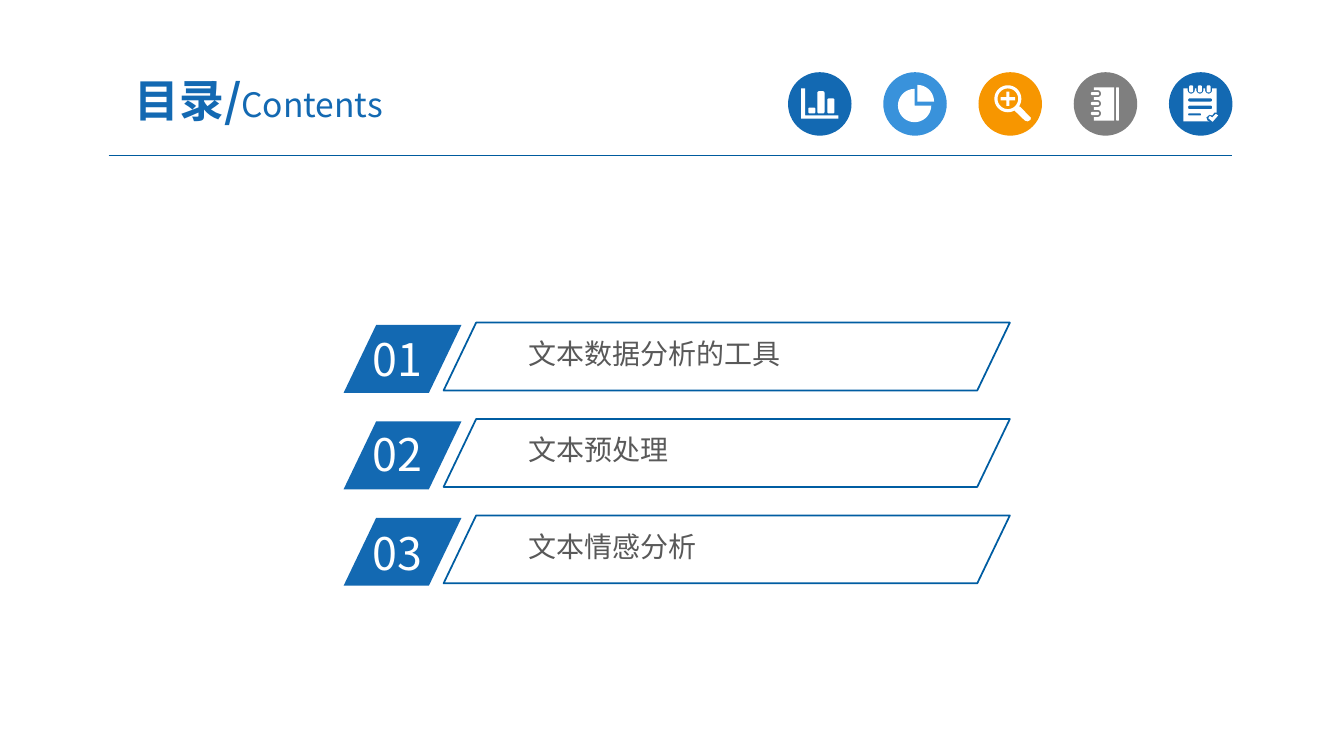
import math
from dataclasses import dataclass

import pptx
import pptx.dml.color
import pptx.enum.shapes
import pptx.enum.text
import pptx.oxml
import pptx.oxml.ns
import pptx.util
from pptx.util import Cm

COLORS = {
    "blue": "1369B2",
    "sky": "3992DB",
    "orange": "F79600",
    "gray": "7F7F7F",
    "rule": "005B9E",
    "frame": "005DA2",
    "text": "595959",
    "white": "FFFFFF",
}
FONT = "Noto Sans CJK SC"
SHAPES = pptx.enum.shapes.MSO_SHAPE
ALIGN = pptx.enum.text.PP_ALIGN
ANCHOR = pptx.enum.text.MSO_ANCHOR

DISC_LEFT, DISC_TOP, DISC_SIZE, DISC_PITCH = 19.86, 1.82, 1.6, 2.4
ROW_TOP, ROW_PITCH, ROW_HEIGHT = 8.13, 2.43, 1.71

Point = tuple[float, float]
Outline = list[Point]


@dataclass
class Badge:
    """A coloured disc; its outlines are in cm from the disc's top left."""
    color: str
    outlines: list[Outline]


@dataclass
class Entry:
    number: str
    title: str
    number_top: float


def rgb(name: str):
    return pptx.dml.color.RGBColor.from_string(COLORS[name])


def arc(x: float, y: float, radius: float, start: int, end: int) -> Outline:
    """Points along an arc; degrees run clockwise from the right."""
    steps = max(6, abs(end - start) // 10)
    angles = [math.radians(start + (end - start) * i / steps) for i in range(steps + 1)]
    return [(x + radius * math.cos(a), y + radius * math.sin(a)) for a in angles]


def rounded(left: float, top: float, right: float, bottom: float,
            radius: float = 0.04) -> Outline:
    return (arc(left + radius, top + radius, radius, 180, 270)
            + arc(right - radius, top + radius, radius, 270, 360)
            + arc(right - radius, bottom - radius, radius, 0, 90)
            + arc(left + radius, bottom - radius, radius, 90, 180))


def bar_chart() -> list[Outline]:
    axes = [(0.33, 0.41), (0.43, 0.41), (0.43, 1.09), (1.27, 1.09), (1.27, 1.17), (0.33, 1.17)]
    bars = [(0.51, 0.89), (0.74, 0.48), (0.99, 0.66)]
    return [axes] + [rounded(left, top, left + 0.18, 1.04) for left, top in bars]


def pie_chart() -> list[Outline]:
    return [[(0.86, 0.74)] + arc(0.86, 0.74, 0.42, -90, 0),
            [(0.79, 0.84)] + arc(0.79, 0.84, 0.42, 0, 270)]


def magnifier() -> list[Outline]:
    x, y, reach, half = 0.74, 0.67, 0.18, 0.04
    plus = [(x - half, y - reach), (x + half, y - reach), (x + half, y - half),
            (x + reach, y - half), (x + reach, y + half), (x + half, y + half),
            (x + half, y + reach), (x - half, y + reach), (x - half, y + half),
            (x - reach, y + half), (x - reach, y - half), (x - half, y - half)]
    handle = [(0.91, 0.97), (1.17, 1.22), (1.24, 1.24), (1.31, 1.2), (1.32, 1.15), (1.04, 0.86)]
    return [arc(x, y, 0.34, 0, 360), arc(x, y, 0.26, 0, 360), plus, handle]


def notebook() -> list[Outline]:
    ring_heights = [1.04, 0.79, 0.54]
    cover = [(0.51, 0.38), (1.02, 0.38), (1.02, 1.22), (0.51, 1.22)]
    for y in ring_heights:
        cover += [(0.51, y + 0.09)] + arc(0.6, y, 0.09, 90, -90) + [(0.51, y - 0.09)]
    rings = [rounded(0.43, y - 0.04, 0.64, y + 0.04) for y in ring_heights]
    return [cover, rounded(1.07, 0.38, 1.14, 1.22, 0.02)] + rings


def checklist() -> list[Outline]:
    ring_places = [0.56, 0.78, 1.0]
    sheet = [(0.36, 0.41)]
    for x in ring_places:
        sheet += [(x - 0.09, 0.41)] + arc(x, 0.45, 0.09, 180, 0) + [(x + 0.09, 0.41)]
    sheet += [(1.2, 0.41), (1.2, 1.02), (1.14, 1.02), (1.09, 1.09), (1.02, 1.07),
              (0.94, 1.14), (0.97, 1.22), (1.02, 1.24), (0.36, 1.24)]
    tick = [(0.99, 1.16), (1.03, 1.1), (1.09, 1.14), (1.18, 1.05), (1.24, 1.09), (1.1, 1.25)]
    rings = [rounded(x - 0.05, 0.33, x + 0.05, 0.51) for x in ring_places]
    lines = [rounded(0.48, 0.66, 1.09, 0.74), rounded(0.48, 0.84, 1.09, 0.93),
             rounded(0.48, 1.04, 0.81, 1.09, 0.02)]
    return [sheet, tick] + rings + lines


BADGES = [
    Badge("blue", bar_chart()),
    Badge("sky", pie_chart()),
    Badge("orange", magnifier()),
    Badge("gray", notebook()),
    Badge("blue", checklist()),
]
ENTRIES = [
    Entry("01", "文本数据分析的工具", 8.23),
    Entry("02", "文本预处理", 10.62),
    Entry("03", "文本情感分析", 13.13),
]


def paint(shape, color: str) -> None:
    shape.shadow.inherit = False
    shape.fill.solid()
    shape.fill.fore_color.rgb = rgb(color)
    shape.line.fill.background()


def style(para, color: str) -> None:
    """Set colour and typeface, for East Asian letters too."""
    para.font.color.rgb = rgb(color)
    para.font.name = FONT
    defaults = para._p.pPr.find(pptx.oxml.ns.qn("a:defRPr"))
    east_asian = pptx.oxml.parse_xml(
        f'<a:ea {pptx.oxml.ns.nsdecls("a")} typeface="{FONT}"/>')
    defaults.append(east_asian)


def add_text_box(shapes, left: float, top: float, width: float, height: float,
                 inset_x: float, inset_y: float):
    box = shapes.add_textbox(Cm(left), Cm(top), Cm(width), Cm(height))
    frame = box.text_frame
    frame.word_wrap = True
    frame.margin_left = frame.margin_right = Cm(inset_x)
    frame.margin_top = frame.margin_bottom = Cm(inset_y)
    return frame


def add_label(shapes, text: str, size: int, color: str, *place: float) -> None:
    frame = add_text_box(shapes, *place)
    frame.auto_size = pptx.enum.text.MSO_AUTO_SIZE.SHAPE_TO_FIT_TEXT
    para = frame.paragraphs[0]
    para.add_run().text = text
    para.font.size = pptx.util.Pt(size)
    style(para, color)


def add_badge(page, badge: Badge, left: float) -> None:
    shapes = page.shapes.add_group_shape().shapes
    paint(shapes.add_shape(SHAPES.OVAL, Cm(left), Cm(DISC_TOP), Cm(DISC_SIZE), Cm(DISC_SIZE)),
          badge.color)
    placed = [[(Cm(left + x), Cm(DISC_TOP + y)) for x, y in outline]
              for outline in badge.outlines]
    builder = shapes.build_freeform(*placed[0][0])
    for outline in placed:
        builder.move_to(*outline[0])
        builder.add_line_segments(outline[1:], close=True)
    paint(builder.convert_to_shape(), "white")


def add_slanted(shapes, left: float, top: float, width: float):
    shape = shapes.add_shape(SHAPES.PARALLELOGRAM, Cm(left), Cm(top), Cm(width), Cm(ROW_HEIGHT))
    shape.adjustments[0] = 0.48
    return shape


def add_entry(page, entry: Entry, top: float) -> None:
    shapes = page.shapes.add_group_shape().shapes
    paint(add_slanted(shapes, 8.66, top + 0.06, 2.97), "blue")
    add_label(shapes, entry.number, 32, "white", 9.14, entry.number_top, 2.84, 1.62, 0.25, 0.13)
    add_label(shapes, entry.title, 20, "text", 13.13, top + 0.25, 10.46, 1.04, 0.18, 0.1)
    frame = add_slanted(shapes, 11.18, top, 14.27)
    frame.shadow.inherit = False
    frame.fill.background()
    frame.line.color.rgb = rgb("frame")
    frame.line.width = pptx.util.Pt(1.25)


def add_header(page) -> None:
    rule = page.shapes.add_connector(pptx.enum.shapes.MSO_CONNECTOR.STRAIGHT,
                                     Cm(2.74), Cm(3.93), Cm(31.06), Cm(3.93))
    rule.line.color.rgb = rgb("rule")
    rule.line.width = pptx.util.Pt(0.75)
    rule._element.spPr.append(
        pptx.oxml.parse_xml(f'<a:effectLst {pptx.oxml.ns.nsdecls("a")}/>'))
    frame = add_text_box(page.shapes, 2.34, 1.6, 8.36, 1.83, 0.33, 0.18)
    frame.vertical_anchor = ANCHOR.MIDDLE
    para = frame.paragraphs[0]
    para.alignment = ALIGN.CENTER
    for text, size, bold in [("目录/", 32, True), ("Contents", 24, False)]:
        span = para.add_run()
        span.text = text
        span.font.size = pptx.util.Pt(size)
        span.font.bold = bold
    style(para, "blue")


def main() -> None:
    deck = pptx.Presentation()
    deck.slide_width, deck.slide_height = Cm(33.87), Cm(19.05)
    page = deck.slides.add_slide(deck.slide_layouts[6])
    add_header(page)
    for i, badge in enumerate(BADGES):
        add_badge(page, badge, DISC_LEFT + i * DISC_PITCH)
    for i, entry in enumerate(ENTRIES):
        add_entry(page, entry, ROW_TOP + i * ROW_PITCH)
    deck.save("out.pptx")


if __name__ == "__main__":
    main()
